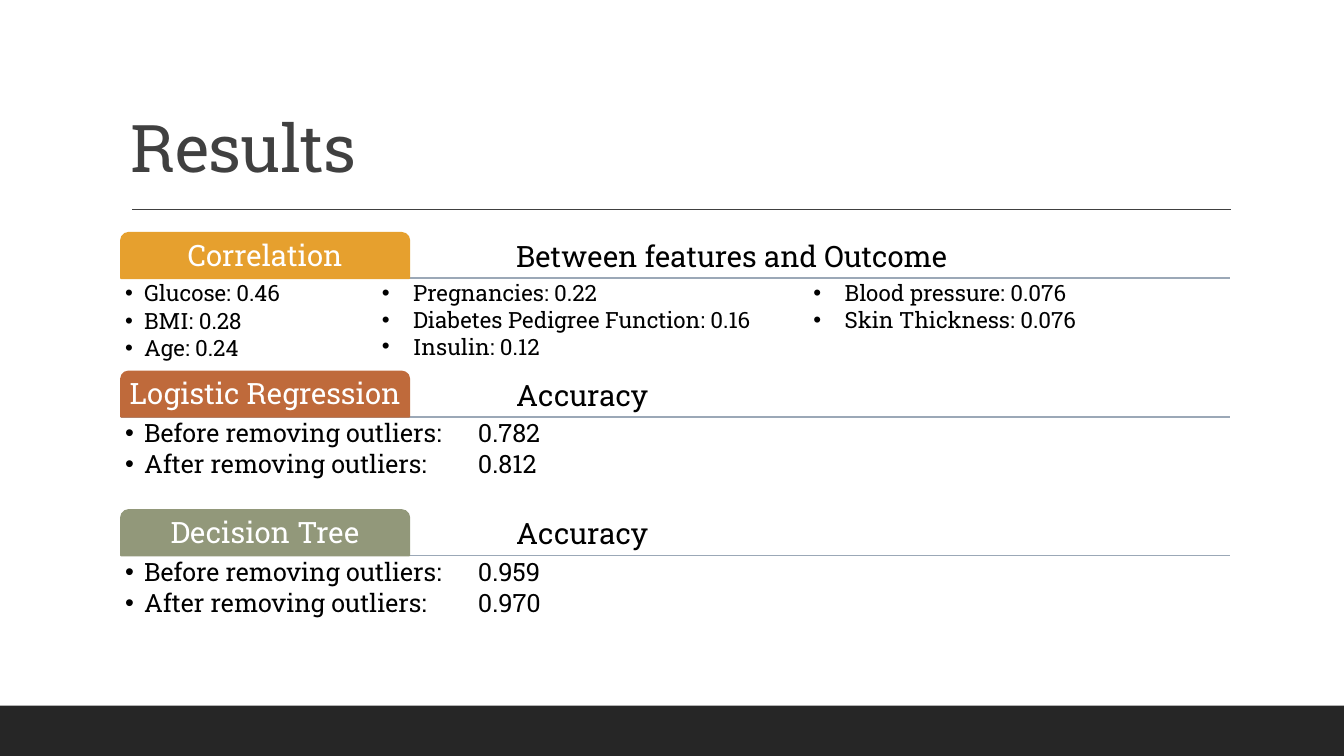
from dataclasses import dataclass

from lxml import etree
from pptx import Presentation
from pptx import util as u
from pptx.dml.color import RGBColor
from pptx.enum import shapes, text
from pptx.oxml import ns


@dataclass(frozen=True)
class Theme:
    font: str = "Roboto Slab"
    ink: str = "000000"
    title_ink: str = "404040"
    light: str = "FFFFFF"
    footer: str = "262626"
    rule: str = "9BA8B7"
    tabs: tuple = ("E6A02E", "BF6A3B", "92987A")
    title_size: float = 47
    heading_size: float = 21
    result_size: float = 18
    feature_size: float = 16


class SlideBuilder:
    """Places elements on a grid of square cells, ten to the inch."""

    CELL = 0.1

    def __init__(self, slide, theme):
        self.slide = slide
        self.theme = theme

    def cells(self, *counts):
        return [u.Inches(count * self.CELL) for count in counts]

    def block(self, box, color, preset=shapes.MSO_SHAPE.RECTANGLE):
        shape = self.slide.shapes.add_shape(preset, *self.cells(*box))
        shape.shadow.inherit = False
        shape.fill.solid()
        shape.fill.fore_color.rgb = RGBColor.from_string(color)
        shape.line.fill.background()
        return shape

    def tab(self, box, color, label):
        shape = self.block(box, color, shapes.MSO_SHAPE.ROUND_2_SAME_RECTANGLE)
        shape.line.color.rgb = RGBColor.from_string(color)
        shape.line.width = u.Pt(1.25)
        self.fill_text(shape, [label], self.theme.heading_size, self.theme.light,
                       anchor=text.MSO_ANCHOR.MIDDLE, align=text.PP_ALIGN.CENTER)

    def rule(self, left, right, row, color, width):
        start, end, height = self.cells(left, right, row)
        line = self.slide.shapes.add_connector(
            shapes.MSO_CONNECTOR.STRAIGHT, start, height, end, height)
        line.line.color.rgb = RGBColor.from_string(color)
        line.line.width = u.Pt(width)
        etree.SubElement(line._element.spPr, ns.qn("a:effectLst"))

    def label(self, box, lines, size, color=None, **style):
        shape = self.slide.shapes.add_textbox(*self.cells(*box))
        self.fill_text(shape, lines, size, color or self.theme.ink, **style)
        return shape

    def fill_text(self, shape, lines, size, color, anchor=text.MSO_ANCHOR.TOP,
                  align=text.PP_ALIGN.LEFT, inset=0.4, spacing=0.9, after=0,
                  hang=0, tab_width=0):
        """Fill a shape; hang is the bullet indent, after a share of the size."""
        frame = shape.text_frame
        frame.word_wrap = True
        frame.vertical_anchor = anchor
        frame.margin_left, frame.margin_right = self.cells(inset, inset)
        frame.margin_top, frame.margin_bottom = self.cells(min(inset, 0.5), min(inset, 0.5))
        frame.text = "\n".join(lines)
        for paragraph in frame.paragraphs:
            paragraph.alignment = align
            paragraph.line_spacing = spacing
            paragraph.space_after = u.Pt(size * after)
            properties = paragraph._p.get_or_add_pPr()
            if tab_width:
                properties.set("defTabSz", str(self.cells(tab_width)[0]))
            if hang:
                indent, = self.cells(hang)
                properties.set("marL", str(indent))
                properties.set("indent", str(-indent))
                etree.SubElement(properties, ns.qn("a:buFont"), typeface="Arial")
                etree.SubElement(properties, ns.qn("a:buChar"), char="•")
            paragraph.font.name = self.theme.font
            paragraph.font.size = u.Pt(size)
            paragraph.font.color.rgb = RGBColor.from_string(color)


SECTIONS = [
    ("Correlation", "Between features and Outcome",
     ["Glucose: 0.46", "BMI: 0.28", "Age: 0.24"]),
    ("Logistic Regression", "Accuracy",
     ["Before removing outliers: \t0.782", "After removing outliers: \t0.812"]),
    ("Decision Tree", "Accuracy",
     ["Before removing outliers:\t0.959", "After removing outliers: \t0.970"]),
]
FEATURE_COLUMNS = [
    ((36.9, 27.2, 46.7, 15.1),
     ["Pregnancies: 0.22", "Diabetes Pedigree Function: 0.16", "Insulin: 0.12"]),
    ((79.7, 27.2, 36.6, 6.4),
     ["Blood pressure: 0.076", "Skin Thickness: 0.076"]),
]
LEFT, WIDTH, TAB_WIDTH = 12, 110, 28.6
FIRST_ROW, SECTION_STEP, TAB_HEIGHT, BODY_HEIGHT = 23.1, 13.75, 4.5, 9


def main():
    theme = Theme()
    presentation = Presentation()
    presentation.slide_width = u.Inches(13.33)
    presentation.slide_height = u.Inches(7.5)
    slide = presentation.slides.add_slide(presentation.slide_layouts[6])
    builder = SlideBuilder(slide, theme)

    builder.block((0, 70, 133.3, 5), theme.footer)
    builder.rule(13.1, 122.1, 20.8, theme.title_ink, 1)
    title = builder.label((LEFT, 3.1, WIDTH, 15.9), ["Results"], theme.title_size,
                          theme.title_ink, anchor=text.MSO_ANCHOR.BOTTOM, inset=1)
    title.text_frame.paragraphs[0].runs[0]._r.get_or_add_rPr().set("spc", "-50")

    for index, (name, heading, results) in enumerate(SECTIONS):
        top = FIRST_ROW + index * SECTION_STEP
        bottom = top + TAB_HEIGHT
        builder.rule(LEFT, LEFT + WIDTH, bottom, theme.rule, 1.25)
        builder.label((LEFT + TAB_WIDTH, top, WIDTH - TAB_WIDTH, TAB_HEIGHT),
                      ["\t" + heading], theme.heading_size,
                      anchor=text.MSO_ANCHOR.BOTTOM, tab_width=10.2)
        builder.tab((LEFT, top, TAB_WIDTH, TAB_HEIGHT), theme.tabs[index], name)
        size = theme.feature_size if index == 0 else theme.result_size
        builder.label((LEFT, bottom, WIDTH, BODY_HEIGHT), results, size,
                      after=0.15, hang=1.9, tab_width=8.75)

    for box, features in FEATURE_COLUMNS:
        builder.label(box, features, theme.feature_size, inset=1, spacing=1, hang=3.1)

    presentation.save("out.pptx")


if __name__ == "__main__":
    main()
